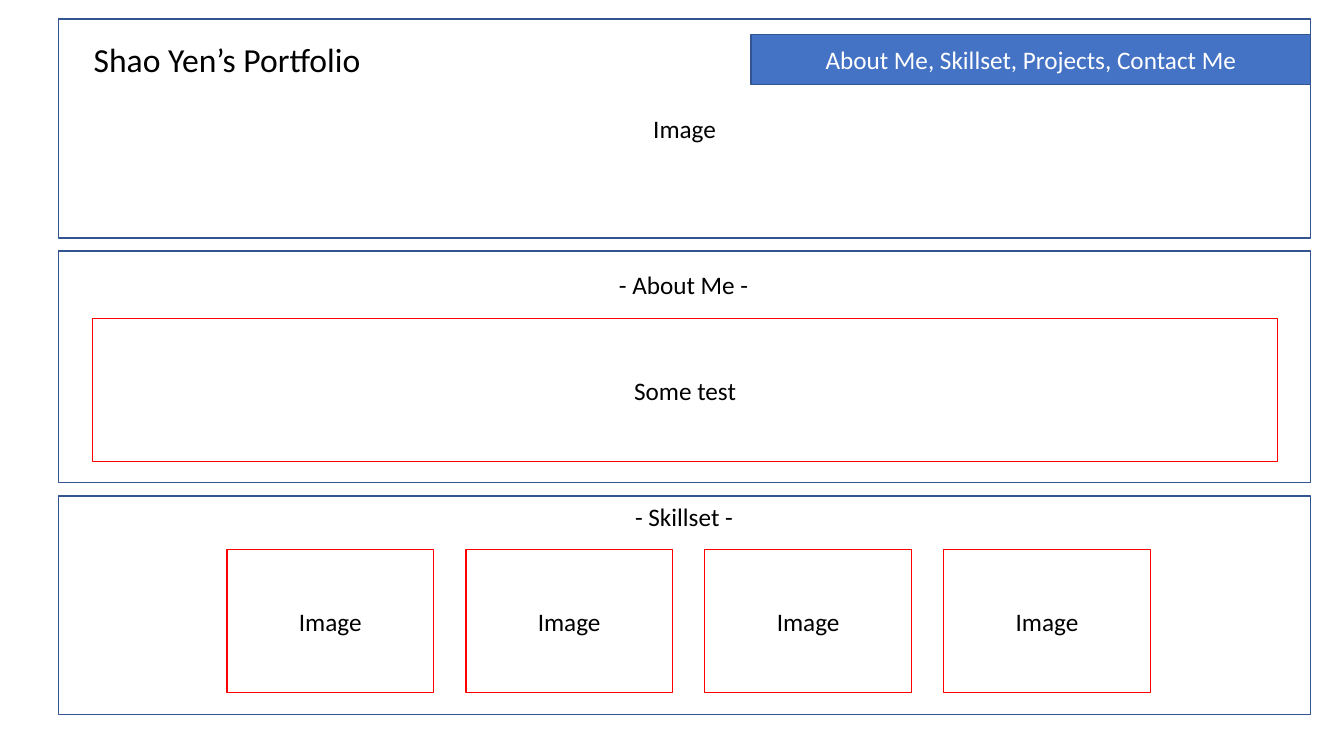
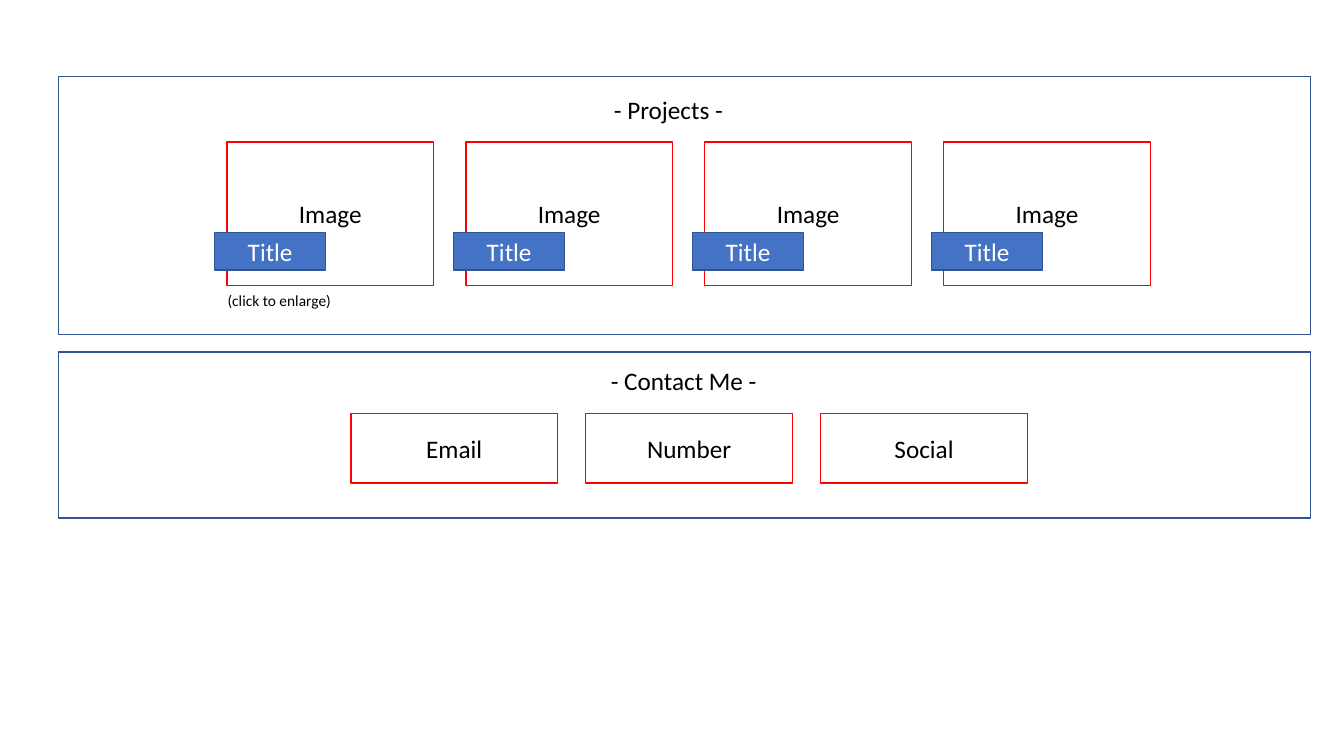
import pptx
import pptx.util
import pptx.dml.color
import pptx.enum.shapes
import pptx.enum.text

Inches = pptx.util.Inches
Align = pptx.enum.text.PP_ALIGN
Anchor = pptx.enum.text.MSO_ANCHOR
Fit = pptx.enum.text.MSO_AUTO_SIZE

COLORS = {"blue": "4472C4", "navy": "325491", "red": "FF0000",
          "black": "000000", "white": "FFFFFF"}

# Shared grid: page panels and the row of four cards
LEFT, WIDTH = 0.58, 12.42
CARD_W, CARD_H = 2.05, 1.42
CARDS = [2.25 + 2.37 * i for i in range(4)]


def color(name):
    return pptx.dml.color.RGBColor.from_string(COLORS[name])


def assign(target, values):
    for key, value in values.items():
        setattr(target, key, value)


class Deck:
    font = "Calibri"

    def __init__(self):
        self.prs = pptx.Presentation()
        assign(self.prs, {"slide_width": Inches(13.33),
                          "slide_height": Inches(7.5)})
        self.slide = None

    def page(self):
        self.slide = self.prs.slides.add_slide(self.prs.slide_layouts[6])

    def letter(self, frame, text, size, ink, align):
        para = frame.paragraphs[0]
        para.alignment = align
        run = para.add_run()
        run.text = text
        assign(run.font, {"name": self.font, "size": pptx.util.Pt(size)})
        run.font.color.rgb = color(ink)

    def box(self, x, y, w, h, text="", line="navy", fill=None, ink="black"):
        shape = self.slide.shapes.add_shape(
            pptx.enum.shapes.MSO_SHAPE.RECTANGLE,
            Inches(x), Inches(y), Inches(w), Inches(h))
        shape.shadow.inherit = False
        if fill:
            shape.fill.solid()
            shape.fill.fore_color.rgb = color(fill)
        else:
            shape.fill.background()
        shape.line.color.rgb = color(line)
        shape.line.width = pptx.util.Pt(1)
        if text:
            shape.text_frame.vertical_anchor = Anchor.MIDDLE
            self.letter(shape.text_frame, text, 18, ink, Align.CENTER)

    def panel(self, y, h, text=""):
        self.box(LEFT, y, WIDTH, h, text)

    def frame(self, x, y, w, h, text):
        self.box(x, y, w, h, text, line="red")

    def label(self, x, y, w, h, text):
        self.box(x, y, w, h, text, fill="blue", ink="white")

    def cards(self, y):
        for x in CARDS:
            self.frame(x, y, CARD_W, CARD_H, "Image")

    def text(self, x, y, w, h, text, size=18, wrap=False, align=Align.LEFT):
        area = self.slide.shapes.add_textbox(
            Inches(x), Inches(y), Inches(w), Inches(h))
        assign(area.text_frame, {"word_wrap": wrap,
                                 "auto_size": Fit.SHAPE_TO_FIT_TEXT})
        self.letter(area.text_frame, text, size, "black", align)


def home(deck):
    deck.page()
    # Header with menu
    deck.label(7.45, 0.34, 5.55, 0.5, "About Me, Skillset, Projects, Contact Me")
    deck.text(0.83, 0.34, 2.88, 0.5, "Shao Yen’s Portfolio", size=24)
    deck.panel(0.19, 2.17, "Image")
    # About
    deck.panel(2.49, 2.3)
    deck.text(6.04, 2.62, 1.5, 0.4, "- About Me -")
    deck.frame(0.92, 3.16, 11.75, CARD_H, "Some test")
    # Skills
    deck.panel(4.92, 2.17)
    deck.text(6.2, 4.92, 1.18, 0.4, "- Skillset -")
    deck.cards(5.45)


def work(deck):
    deck.page()
    # Projects
    deck.panel(0.76, 2.56)
    deck.text(5.99, 0.89, 1.29, 0.4, "- Projects -")
    for x in CARDS:
        deck.frame(x, 1.41, CARD_W, CARD_H, "Image")
        deck.label(x - 0.12, 2.31, 1.1, 0.37, "Title")
    deck.text(2.13, 2.84, 1.28, 0.29, "(click to enlarge)", size=11,
              wrap=True, align=Align.CENTER)
    # Contact
    deck.panel(3.49, 1.65)
    deck.text(5.96, 3.58, 1.66, 0.4, "- Contact Me -")
    for i, name in enumerate(["Email", "Number", "Social"]):
        deck.frame(3.48 + 2.33 * i, 4.1, CARD_W, 0.69, name)


def main():
    deck = Deck()
    home(deck)
    work(deck)
    deck.prs.save("out.pptx")


if __name__ == "__main__":
    main()
